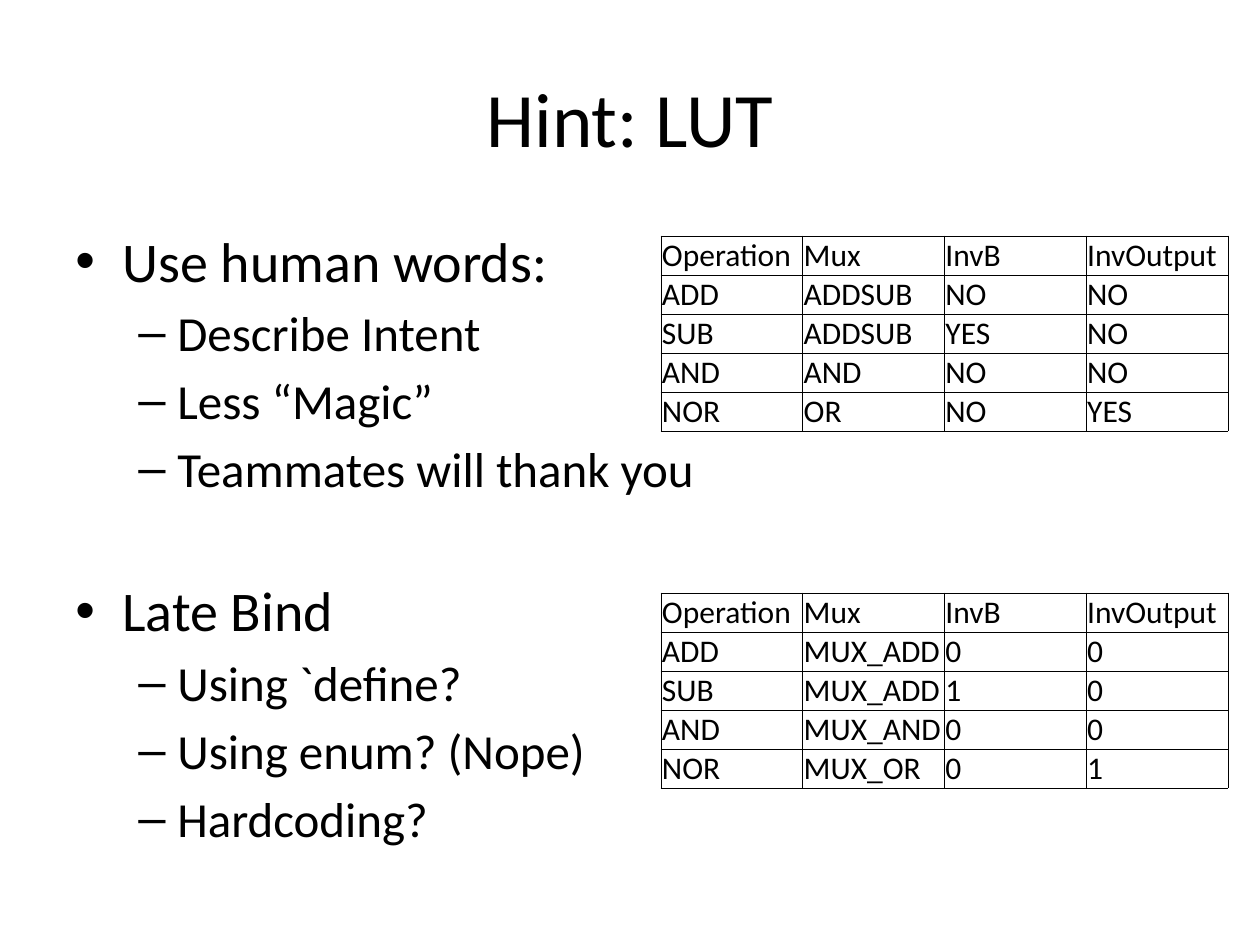
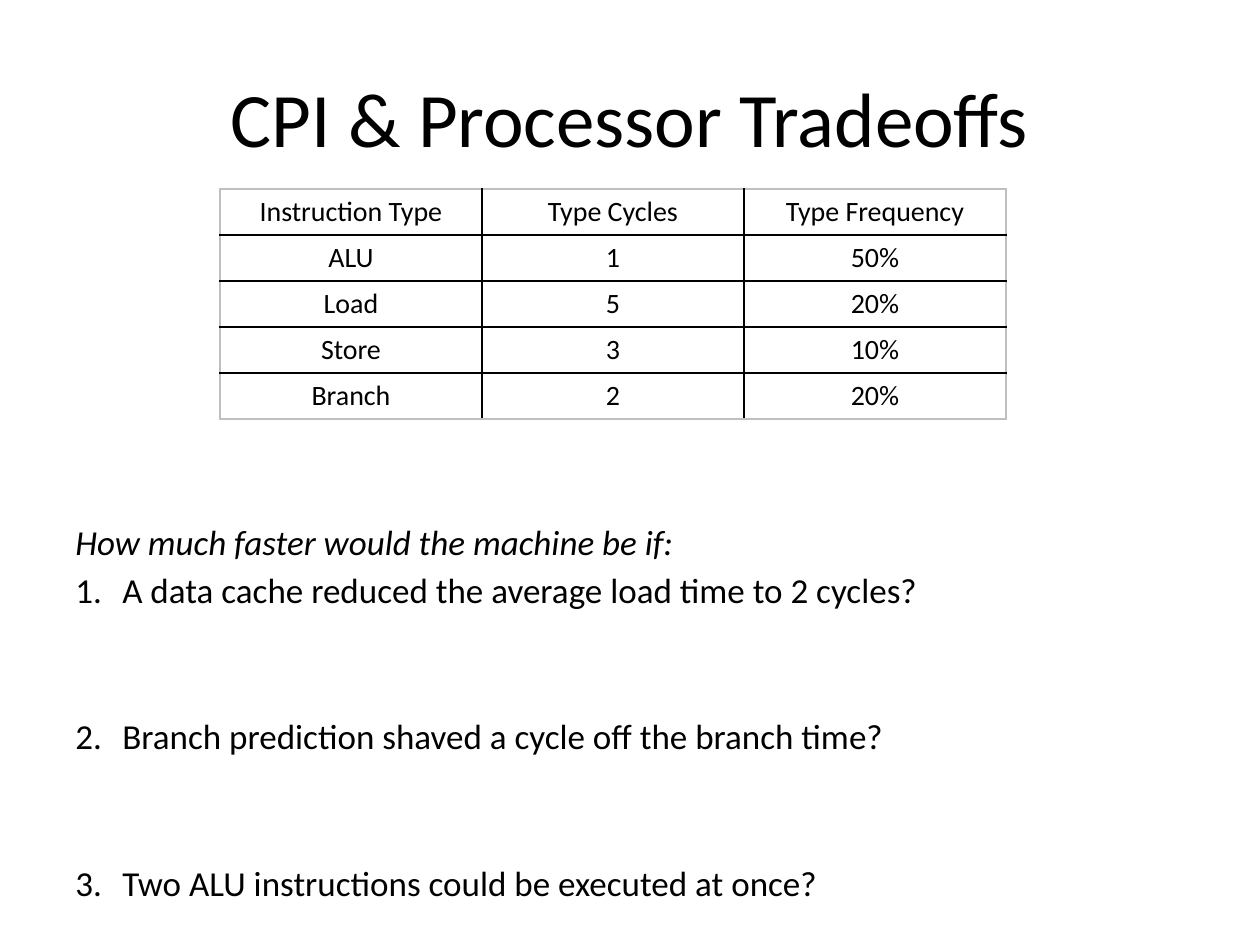
from lxml.etree import SubElement
from pptx import Presentation
from pptx.dml.color import RGBColor
from pptx.enum.text import MSO_ANCHOR, PP_ALIGN
from pptx.oxml.ns import qn
from pptx.util import Emu, Pt

FONT = "Calibri"
BLACK = RGBColor(0x00, 0x00, 0x00)
WHITE = RGBColor(0xFF, 0xFF, 0xFF)
GRAY = RGBColor(0xBF, 0xBF, 0xBF)
PX_PER_INCH = 126
SLIDE_WIDTH, SLIDE_HEIGHT = 1260, 945
MARGIN = 63
CONTENT_WIDTH = SLIDE_WIDTH - 2 * MARGIN


def px(length):
    return Emu(round(length * 914400 / PX_PER_INCH))


class Deck:
    def __init__(self):
        self.presentation = Presentation()
        self.presentation.slide_width = px(SLIDE_WIDTH)
        self.presentation.slide_height = px(SLIDE_HEIGHT)
        self.slide = None

    def add_slide(self, title):
        self.slide = self.presentation.slides.add_slide(self.presentation.slide_layouts[6])
        frame = self.text_frame(MARGIN, 38, CONTENT_WIDTH, 157)
        frame.vertical_anchor = MSO_ANCHOR.MIDDLE
        paragraph = frame.paragraphs[0]
        paragraph.text = title
        paragraph.alignment = PP_ALIGN.CENTER
        self.style(paragraph, 44)

    def text_frame(self, left, top, width, height):
        shape = self.slide.shapes.add_textbox(px(left), px(top), px(width), px(height))
        shape.text_frame.word_wrap = True
        return shape.text_frame

    def style(self, paragraph, size, italic=False):
        font = paragraph.font
        font.name, font.size, font.italic = FONT, Pt(size), italic
        font.color.rgb = BLACK

    def item(self, frame, text, size, before=0, marker=None, left=0, hanging=0, italic=False):
        paragraph = frame.paragraphs[0]
        if paragraph.text:
            paragraph = frame.add_paragraph()
        paragraph.text = text
        paragraph.space_before = Pt(before)
        properties = paragraph._p.get_or_add_pPr()
        properties.set("marL", str(px(left)))
        properties.set("indent", str(-px(hanging)))
        if marker == "1.":
            SubElement(properties, qn("a:buAutoNum"), type="arabicPeriod")
        elif marker:
            SubElement(properties, qn("a:buFont"), typeface="Arial")
            SubElement(properties, qn("a:buChar"), char=marker)
        self.style(paragraph, size, italic)

    def table(self, left, top, width, row_height, rows, size, margins, line_width,
              outer=BLACK, alignment=PP_ALIGN.LEFT, anchor=MSO_ANCHOR.TOP):
        row_count, column_count = len(rows), len(rows[0])
        table = self.slide.shapes.add_table(
            row_count, column_count, px(left), px(top), px(width), px(row_height * row_count)).table
        table.first_row = table.horz_banding = False
        for r, values in enumerate(rows):
            for c, value in enumerate(values):
                cell = table.cell(r, c)
                cell.margin_left, cell.margin_top, cell.margin_right, cell.margin_bottom = map(px, margins)
                cell.vertical_anchor = anchor
                edges = {"L": c == 0, "R": c == column_count - 1, "T": r == 0, "B": r == row_count - 1}
                for side, is_outer in edges.items():
                    self.border(cell, side, outer if is_outer else BLACK, line_width)
                cell.fill.solid()
                cell.fill.fore_color.rgb = WHITE
                paragraph = cell.text_frame.paragraphs[0]
                paragraph.text = value
                paragraph.alignment = alignment
                self.style(paragraph, size)

    def border(self, cell, side, color, width):
        properties = cell._tc.get_or_add_tcPr()
        line = SubElement(properties, qn(f"a:ln{side}"), w=str(Pt(width)))
        SubElement(SubElement(line, qn("a:solidFill")), qn("a:srgbClr"), val=str(color))

    def save(self):
        self.presentation.save("out.pptx")


def build_lookup_slide(deck):
    deck.add_slide("Hint: LUT")
    topics = [
        ("Use human words:", ["Describe Intent", "Less “Magic”", "Teammates will thank you"]),
        ("Late Bind", ["Using `define?", "Using enum? (Nope)", "Hardcoding?"]),
    ]
    frame = deck.text_frame(MARGIN, 220, 651, 624)
    for index, (topic, points) in enumerate(topics):
        deck.item(frame, topic, 32, 45 * index, "•", 47, 47)
        for point in points:
            deck.item(frame, point, 28, 5.2, "–", 102, 39)

    header = ["Operation", "Mux", "InvB", "InvOutput"]
    words = [
        ["ADD", "ADDSUB", "NO", "NO"],
        ["SUB", "ADDSUB", "YES", "NO"],
        ["AND", "AND", "NO", "NO"],
        ["NOR", "OR", "NO", "YES"],
    ]
    bits = [
        ["ADD", "MUX_ADD", "0", "0"],
        ["SUB", "MUX_ADD", "1", "0"],
        ["AND", "MUX_AND", "0", "0"],
        ["NOR", "MUX_OR", "0", "1"],
    ]
    for top, rows in ((236, words), (593, bits)):
        deck.table(661, top, 567, 39, [header] + rows, 18, (1, 1, 1, 0), 0.5,
                   anchor=MSO_ANCHOR.BOTTOM)


def build_tradeoffs_slide(deck):
    deck.add_slide("CPI & Processor Tradeoffs")
    frame = deck.text_frame(MARGIN, 514, CONTENT_WIDTH, 330)
    deck.item(frame, "How much faster would the machine be if:", 20, italic=True)
    questions = [
        "A data cache reduced the average load time to 2 cycles?",
        "Branch prediction shaved a cycle off the branch time?",
        "Two ALU instructions could be executed at once?",
    ]
    for index, question in enumerate(questions):
        deck.item(frame, question, 20, 59.6 if index else 3.6, "1.", 47, 47)

    instructions = [
        ["Instruction Type", "Type Cycles", "Type Frequency"],
        ["ALU", "1", "50%"],
        ["Load", "5", "20%"],
        ["Store", "3", "10%"],
        ["Branch", "2", "20%"],
    ]
    deck.table(220, 189, 786, 46, instructions, 16, (13, 6, 13, 6), 1,
               outer=GRAY, alignment=PP_ALIGN.CENTER)


def main():
    deck = Deck()
    build_lookup_slide(deck)
    build_tradeoffs_slide(deck)
    deck.save()


if __name__ == "__main__":
    main()
